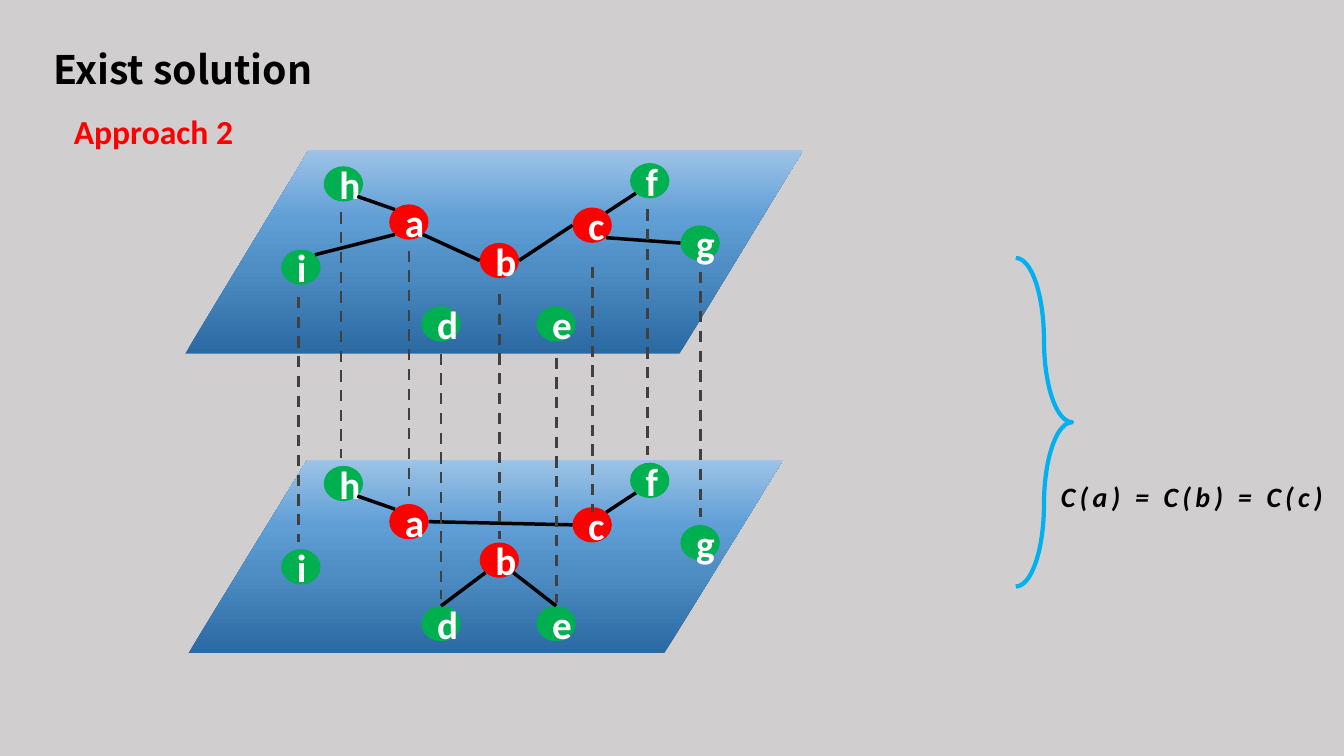
from dataclasses import dataclass
from math import cos, pi, sin

from lxml.etree import SubElement
from pptx import Presentation
from pptx.dml.color import RGBColor
from pptx.enum.dml import MSO_LINE
from pptx.enum.shapes import MSO_CONNECTOR, MSO_SHAPE
from pptx.enum.text import MSO_ANCHOR, MSO_AUTO_SIZE, PP_ALIGN
from pptx.oxml.ns import qn
from pptx.util import Cm, Pt


@dataclass(frozen=True)
class Theme:
    """Colours, fonts and sizes of the slide."""

    background: str = "D0CECE"
    ink: str = "000000"
    accent: str = "FF0000"
    core: str = "FF0000"
    outer: str = "00B050"
    label: str = "FFFFFF"
    link: str = "404040"
    brace: str = "00B0F0"
    plane: tuple = ((0, "2A69A2"), (42, "4F8DC5"), (66, "609ED6"), (100, "9DC3E6"))
    body_font: str = "Calibri"
    title_font: str = "Noto Sans CJK SC"
    large: int = 28
    medium: int = 24
    small: int = 20


THEME = Theme()
NODE_WIDTH, NODE_HEIGHT = 0.99, 0.89
NODES = {
    "i": (0, 2.18), "h": (1.07, 0.08), "a": (2.72, 1.04),
    "d": (3.53, 3.61), "b": (5, 2.01), "e": (6.43, 3.61),
    "c": (7.34, 1.12), "f": (8.79, 0), "g": (10.06, 1.57),
}
CORE = "abc"
TOP, TOP_LEFT, LEFT, BOTTOM_LEFT, BOTTOM, BOTTOM_RIGHT, RIGHT, TOP_RIGHT = range(8)
SHARED_EDGES = [("h", BOTTOM_RIGHT, "a", TOP_LEFT), ("c", TOP_RIGHT, "f", BOTTOM_LEFT)]
UPPER_EDGES = SHARED_EDGES + [
    ("a", BOTTOM_RIGHT, "b", LEFT), ("b", RIGHT, "c", LEFT),
    ("i", TOP_RIGHT, "a", BOTTOM_LEFT), ("c", BOTTOM_RIGHT, "g", LEFT),
]
LOWER_EDGES = SHARED_EDGES + [
    ("a", RIGHT, "c", LEFT), ("d", TOP, "b", BOTTOM_LEFT), ("b", BOTTOM_RIGHT, "e", TOP),
]
LINK_LENGTH = 6.18
LINK_STARTS = {
    "i": (-0.06, 0.75), "h": (-0.06, 0.72), "a": (0, 0.72),
    "d": (0, 0.75), "b": (0, 0.85), "e": (0, 0.85),
    "c": (0, 1.05), "f": (-0.06, 0.72), "g": (0, 0.72),
}


def write(holder, text, *, size, color, font=THEME.body_font, italic=None,
          align=PP_ALIGN.CENTER, line_spacing=None, tracking=None):
    """Put one bold, formatted paragraph into a shape or text box."""
    paragraph = holder.text_frame.paragraphs[0]
    paragraph.alignment = align
    paragraph.line_spacing = line_spacing
    run = paragraph.add_run()
    run.text = text
    run.font.name = font
    run.font.size = Pt(size)
    run.font.bold = True
    run.font.italic = italic
    run.font.color.rgb = RGBColor.from_string(color)
    if tracking:
        run.font._element.set("spc", str(tracking * 100))


def add_caption(slide, box, text, wrap=True, **style):
    """Place a text box that grows with its text."""
    caption = slide.shapes.add_textbox(*map(Cm, box))
    caption.text_frame.word_wrap = wrap
    caption.text_frame.auto_size = MSO_AUTO_SIZE.SHAPE_TO_FIT_TEXT
    write(caption, text, **style)


def add_line(shapes, start, end, color, width, dash=None):
    """Draw a straight line without shadow between two points."""
    line = shapes.add_connector(MSO_CONNECTOR.STRAIGHT, *start, *end)
    line.line.color.rgb = RGBColor.from_string(color)
    line.line.width = Pt(width)
    if dash:
        line.line.dash_style = dash
    SubElement(line._element.spPr, qn("a:effectLst"))
    return line


def center(node):
    """Return the middle point of a node."""
    return node.left + node.width // 2, node.top + node.height // 2


def rim_point(node, site):
    """Return a connection site of an ellipse, counted anticlockwise from the top."""
    x, y = center(node)
    angle = site * pi / 4
    return round(x - sin(angle) * node.width / 2), round(y - cos(angle) * node.height / 2)


def add_edge(shapes, first, first_site, second, second_site):
    """Join two nodes at the given sites of their rims."""
    edge = add_line(shapes, rim_point(first, first_site), rim_point(second, second_site),
                    THEME.ink, 2.5)
    joints = edge._element.nvCxnSpPr.cNvCxnSpPr
    for tag, node, site in (("a:stCxn", first, first_site), ("a:endCxn", second, second_site)):
        SubElement(joints, qn(tag), id=str(node.shape_id), idx=str(site))


def add_plane(shapes, box):
    """Draw the slanted plane with its vertical gradient."""
    plane = shapes.add_shape(MSO_SHAPE.FLOWCHART_DATA, *map(Cm, box))
    plane.shadow.inherit = False
    plane.line.fill.background()
    plane.fill.gradient()
    plane.fill.gradient_angle = 90
    stops = plane._element.spPr.find(qn("a:gradFill")).find(qn("a:gsLst"))
    for stop in list(stops):
        stops.remove(stop)
    for position, color in THEME.plane:
        stop = SubElement(stops, qn("a:gs"), pos=str(position * 1000))
        SubElement(stop, qn("a:srgbClr"), val=color)


def add_node(shapes, left, top, name):
    """Draw one lettered node."""
    node = shapes.add_shape(MSO_SHAPE.OVAL, *map(Cm, (left, top, NODE_WIDTH, NODE_HEIGHT)))
    node.shadow.inherit = False
    node.fill.solid()
    node.fill.fore_color.rgb = RGBColor.from_string(THEME.core if name in CORE else THEME.outer)
    node.line.fill.background()
    node.text_frame.vertical_anchor = MSO_ANCHOR.MIDDLE
    write(node, name, size=THEME.large, color=THEME.label)
    return node


def add_layer(slide, box, inset, edges):
    """Draw a plane in the box with its graph inset, and return the nodes by name."""
    shapes = slide.shapes.add_group_shape().shapes
    add_plane(shapes, box)
    left, top = box[0] + inset[0], box[1] + inset[1]
    nodes = {name: add_node(shapes, left + x, top + y, name) for name, (x, y) in NODES.items()}
    for first, first_site, second, second_site in edges:
        add_edge(shapes, nodes[first], first_site, nodes[second], second_site)
    return nodes


def add_layer_links(slide, nodes):
    """Drop a dashed line from each upper node to the lower layer."""
    for name, (shift, drop) in LINK_STARTS.items():
        x, y = center(nodes[name])
        x, y = x + Cm(shift), y + Cm(drop)
        add_line(slide.shapes, (x, y), (x, y + Cm(LINK_LENGTH)), THEME.link, 2, MSO_LINE.DASH)


def add_heading(slide, left, top):
    """Write the title and the approach below it."""
    add_caption(slide, (left, top + 2.24, 5.56, 1.27), "Approach 2",
                size=THEME.medium, color=THEME.accent)
    add_caption(slide, (left, top, 7.26, 2.06), "Exist solution", wrap=False,
                size=THEME.large, color=THEME.ink, font=THEME.title_font,
                align=PP_ALIGN.LEFT, line_spacing=1.5)


def add_conclusion(slide, left, top, width, height):
    """Draw the brace in the box and the equation beside it."""
    brace = slide.shapes.add_shape(MSO_SHAPE.RIGHT_BRACE, *map(Cm, (left, top, width, height)))
    brace.shadow.inherit = False
    brace.adjustments[0] = 1.465
    brace.fill.background()
    brace.line.color.rgb = RGBColor.from_string(THEME.brace)
    brace.line.width = Pt(3)
    add_caption(slide, (left - 1.01, top + 5.46, 10.9, 1.12), "C(a) = C(b) = C(c)",
                size=THEME.small, color=THEME.ink, italic=True, tracking=3)


def main():
    """Build and save the slide."""
    deck = Presentation()
    deck.slide_width, deck.slide_height = Cm(33.87), Cm(19.05)
    slide = deck.slides.add_slide(deck.slide_layouts[6])
    slide.background.fill.solid()
    slide.background.fill.fore_color.rgb = RGBColor.from_string(THEME.background)
    add_layer(slide, (4.75, 11.58, 14.99, 4.88), (2.34, 0.08), LOWER_EDGES)
    upper_nodes = add_layer(slide, (4.67, 3.78, 15.57, 5.13), (2.42, 0.33), UPPER_EDGES)
    add_layer_links(slide, upper_nodes)
    add_heading(slide, 1.09, 0.43)
    add_conclusion(slide, 25.6, 6.5, 1.42, 8.28)
    deck.save("out.pptx")


if __name__ == "__main__":
    main()
